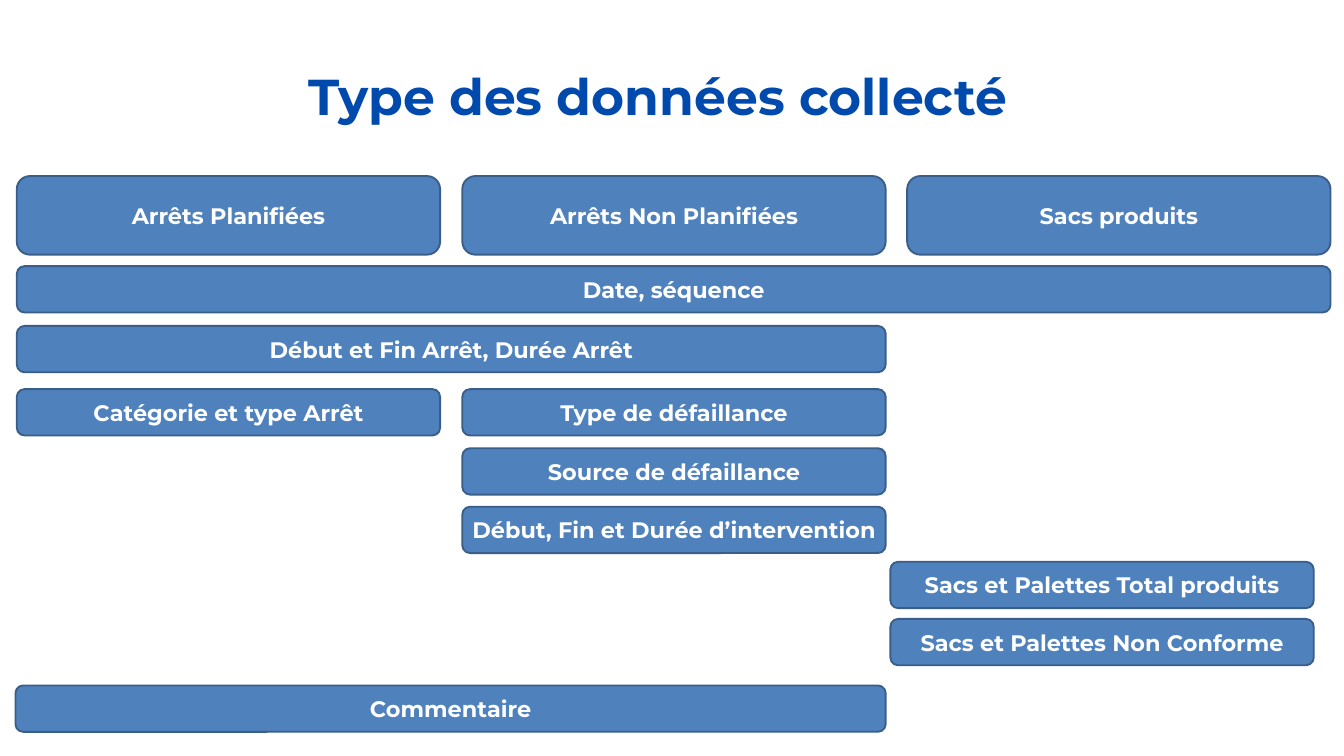
import pptx
import pptx.dml.color
import pptx.enum.shapes
import pptx.enum.text
import pptx.util

Inches = pptx.util.Inches
COLORS = {"title": "004AAD", "fill": "4F81BD", "line": "395E89", "text": "FFFFFF"}
FORMATS = {
    "title": {"name": "Montserrat", "size": pptx.util.Pt(54), "bold": True},
    "text": {"name": "Montserrat", "size": pptx.util.Pt(24), "bold": True},
}


def rgb(name):
    return pptx.dml.color.RGBColor.from_string(COLORS[name])


def write(frame, text, style):
    """Put one centred line of text in a frame and return its paragraph."""
    frame.word_wrap = True
    para = frame.paragraphs[0]
    para.alignment = pptx.enum.text.PP_ALIGN.CENTER
    span = para.add_run()
    span.text = text
    for key, value in FORMATS[style].items():
        setattr(span.font, key, value)
    span.font.color.rgb = rgb(style)
    return para


deck = pptx.Presentation()
deck.slide_width, deck.slide_height = Inches(20), Inches(11.25)
page = deck.slides.add_slide(deck.slide_layouts[6])

# Title
title = page.shapes.add_textbox(Inches(2.08), Inches(0.37), Inches(15.42), Inches(1.09))
frame = title.text_frame
for side in ("left", "top", "right", "bottom"):
    setattr(frame, f"margin_{side}", 0)
write(frame, "Type des données collecté", "title").line_spacing = 1.67
frame.auto_size = pptx.enum.text.MSO_AUTO_SIZE.SHAPE_TO_FIT_TEXT

# Column grid: planned stops, unplanned stops, bags produced
COLUMN = 6.3
PLANNED, UNPLANNED, BAGS = 0.25, 6.88, 13.5
BAGS_DETAIL = 13.25
HEADER, BAR = 1.17, 0.69
TWO_COLUMNS = UNPLANNED + COLUMN - PLANNED
THREE_COLUMNS = BAGS + COLUMN - PLANNED

# Bars: text, left, top, width, height
bars = [
    # Column headers
    ("Arrêts Planifiées", PLANNED, 2.62, COLUMN, HEADER),
    ("Arrêts Non Planifiées", UNPLANNED, 2.62, COLUMN, HEADER),
    ("Sacs produits", BAGS, 2.62, COLUMN, HEADER),
    # Data shared by several columns
    ("Date, séquence", PLANNED, 3.96, THREE_COLUMNS, BAR),
    ("Début et Fin Arrêt, Durée Arrêt", PLANNED, 4.85, TWO_COLUMNS, BAR),
    # Data of a single column
    ("Catégorie et type Arrêt", PLANNED, 5.79, COLUMN, BAR),
    ("Type de défaillance", UNPLANNED, 5.79, COLUMN, BAR),
    ("Source de défaillance", UNPLANNED, 6.67, COLUMN, BAR),
    ("Début, Fin et Durée d’intervention", UNPLANNED, 7.54, COLUMN, BAR),
    ("Sacs et Palettes Total produits", BAGS_DETAIL, 8.36, COLUMN, BAR),
    ("Sacs et Palettes Non Conforme", BAGS_DETAIL, 9.21, COLUMN, BAR),
    # Comment on both kinds of stop
    ("Commentaire", 0.23, 10.2, 12.95, BAR),
]
for text, *place in bars:
    box = page.shapes.add_shape(
        pptx.enum.shapes.MSO_SHAPE.ROUNDED_RECTANGLE, *map(Inches, place))
    box.shadow.inherit = False
    box.fill.solid()
    box.fill.fore_color.rgb = rgb("fill")
    box.line.color.rgb = rgb("line")
    box.line.width = pptx.util.Pt(2)
    box.text_frame.vertical_anchor = pptx.enum.text.MSO_ANCHOR.MIDDLE
    write(box.text_frame, text, "text")

deck.save("out.pptx")
